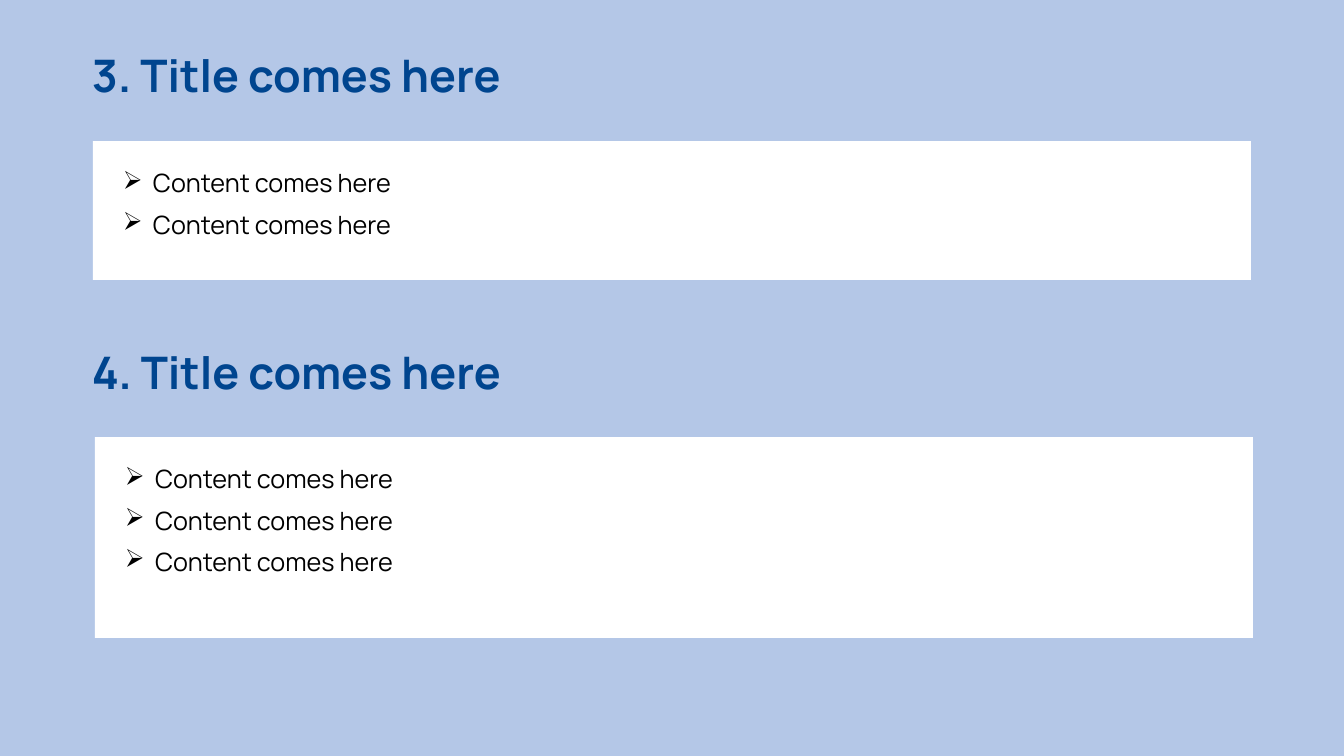
from lxml.etree import SubElement
from pptx import Presentation
from pptx.dml.color import RGBColor
from pptx.enum.shapes import MSO_SHAPE as Shape
from pptx.enum.text import MSO_ANCHOR as Anchor, PP_ALIGN as Align
from pptx.oxml.ns import qn
from pptx.util import Pt

EMU_PER_PX = 914400 / 100.8
COLOURS = {"background": "B4C7E7", "panel": "FFFFFF", "title": "00458F", "content": "000000"}
CONTENT = " Content comes here"


def px(length):
    """Turn px into EMU."""
    return round(length * EMU_PER_PX)


def colour(name):
    return RGBColor.from_string(COLOURS[name])


class SlideBuilder:
    font = "Manrope"
    inset = 30
    indent = 25

    def __init__(self, slide):
        self.slide = slide
        fill = slide.background.fill
        fill.solid()
        fill.fore_color.rgb = colour("background")

    def style(self, paragraph, size, colour_name, bold=False):
        paragraph.alignment = Align.LEFT
        paragraph.line_spacing = 0.9
        paragraph.space_before = Pt(10)
        for run in paragraph.runs:
            run.font.name = self.font
            run.font.size = Pt(size)
            run.font.bold = bold
            run.font.color.rgb = colour(colour_name)

    def bullet(self, paragraph):
        properties = paragraph._p.get_or_add_pPr()
        properties.set("marL", str(px(self.indent)))
        properties.set("indent", str(-px(self.indent)))
        SubElement(properties, qn("a:buChar")).set("char", "➢")

    def title(self, text, left, top, width, height):
        box = self.slide.shapes.add_textbox(*map(px, (left, top, width, height)))
        frame = box.text_frame
        frame.word_wrap = True
        frame.vertical_anchor = Anchor.MIDDLE
        frame.text = text
        self.style(frame.paragraphs[0], 32, "title", bold=True)

    def panel(self, items, left, top, width, height):
        """Add a white box with a bulleted list."""
        shape = self.slide.shapes.add_shape(Shape.RECTANGLE, *map(px, (left, top, width, height)))
        shape.shadow.inherit = False
        shape.fill.solid()
        shape.fill.fore_color.rgb = colour("panel")
        shape.line.fill.background()
        frame = shape.text_frame
        frame.word_wrap = True
        frame.vertical_anchor = Anchor.TOP
        frame.margin_left = frame.margin_right = px(self.inset)
        frame.margin_top = frame.margin_bottom = px(self.inset)
        frame.text = "\n".join(items)
        for paragraph in frame.paragraphs:
            self.style(paragraph, 18, "content")
            self.bullet(paragraph)


def main():
    presentation = Presentation()
    presentation.slide_width, presentation.slide_height = px(1344), px(756)
    builder = SlideBuilder(presentation.slides.add_slide(presentation.slide_layouts[6]))

    sections = [
        ("3. Title comes here", 37, 2, 93, 141, 139),
        ("4. Title comes here", 334, 3, 95, 437, 201),
    ]
    for title, title_top, item_count, panel_left, panel_top, panel_height in sections:
        builder.title(title, 82, title_top, 961, 82)
        builder.panel([CONTENT] * item_count, panel_left, panel_top, 1158, panel_height)

    presentation.save("out.pptx")


if __name__ == "__main__":
    main()
